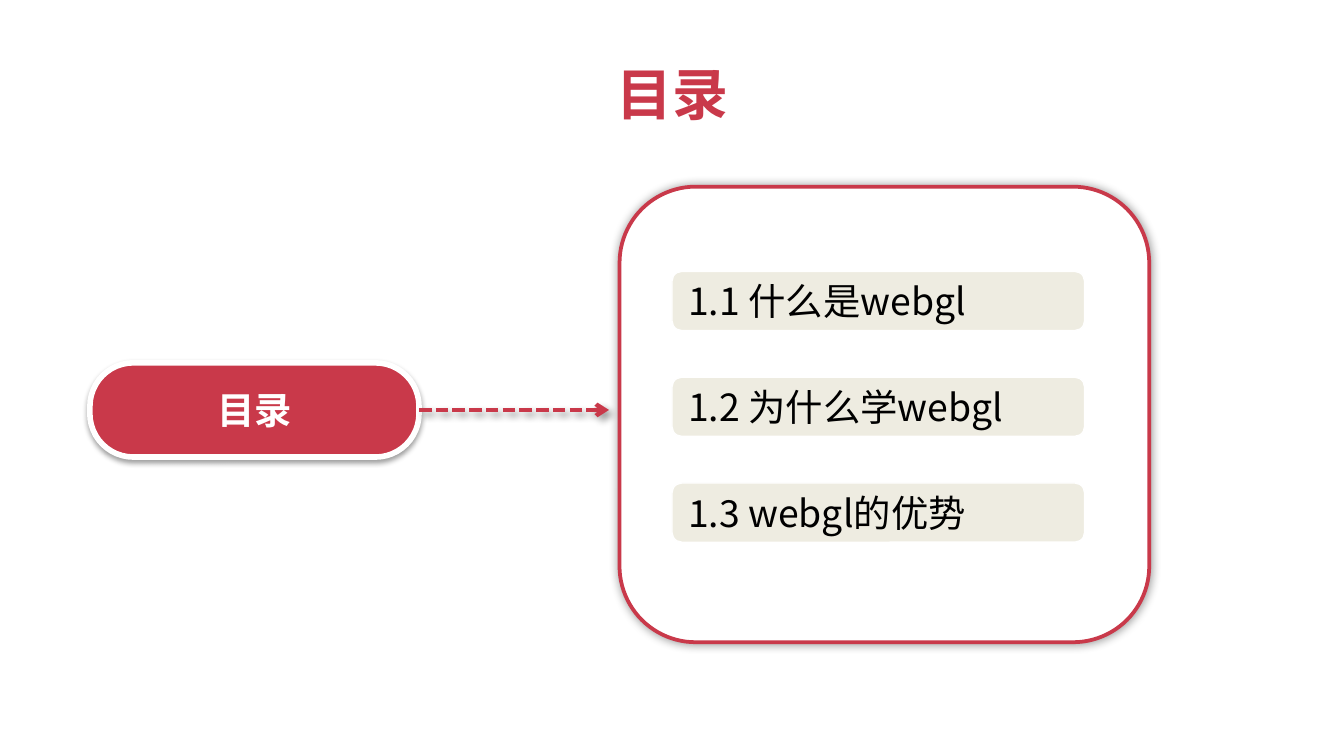
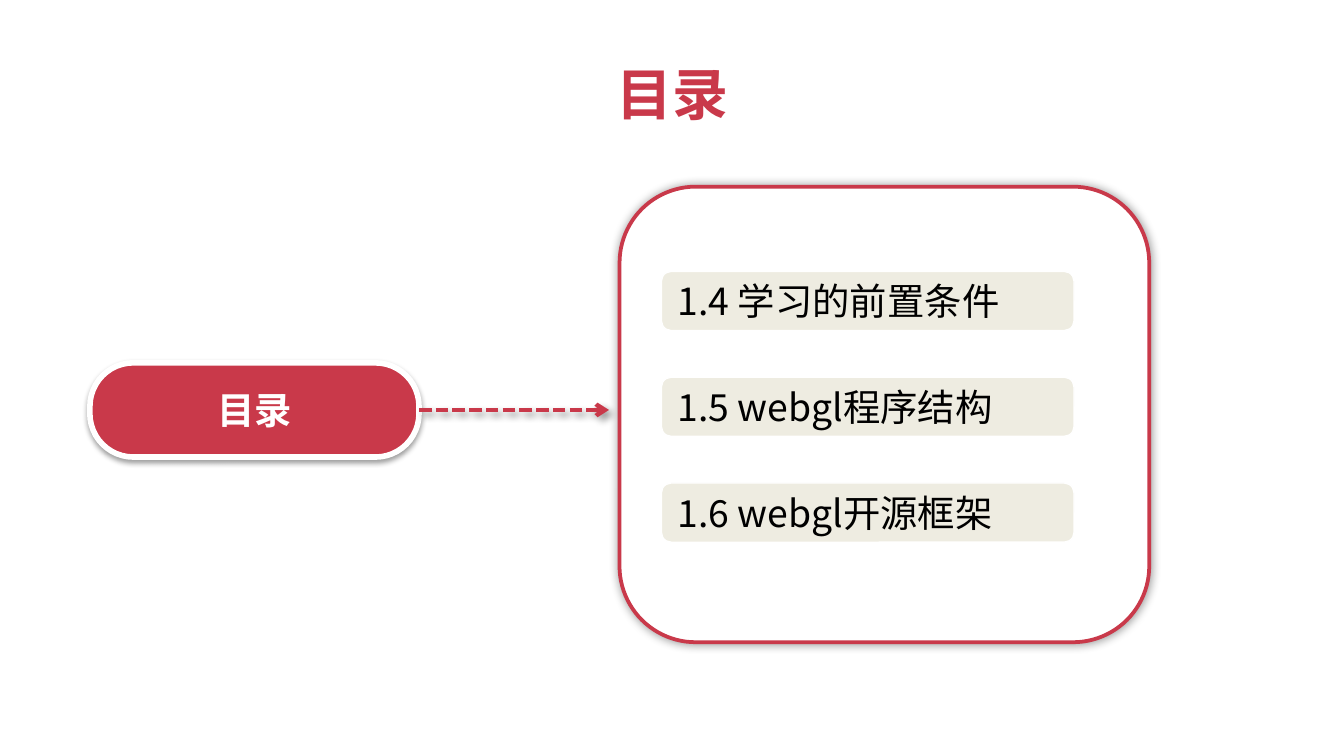
import pptx
import pptx.dml.color
import pptx.enum.dml
import pptx.enum.shapes
import pptx.enum.text
import pptx.oxml.ns
import pptx.util
from lxml import etree

Cm = pptx.util.Cm
Pt = pptx.util.Pt
qn = pptx.oxml.ns.qn
RGB = pptx.dml.color.RGBColor.from_string
ALIGN = pptx.enum.text.PP_ALIGN
ROUNDED = pptx.enum.shapes.MSO_SHAPE.ROUNDED_RECTANGLE

FONT = "Noto Sans CJK SC"
COLORS = {"red": "C9394A", "white": "FFFFFF", "beige": "EEECE1", "black": "000000"}
HEADING = "目录"
# Left edge of the entries, and the entries of each slide
AGENDAS = [
    (12.7, ["1.1 什么是webgl", "1.2 为什么学webgl", "1.3 webgl的优势"]),
    (12.5, ["1.4 学习的前置条件", "1.5 webgl程序结构", "1.6 webgl开源框架"]),
]
ENTRY_TOP, ENTRY_STEP = 5.13, 2.0


def write_text(shape, text, size=20, color="black", bold=False, align=ALIGN.LEFT):
    frame = shape.text_frame
    frame.word_wrap = True
    frame.auto_size = pptx.enum.text.MSO_AUTO_SIZE.NONE
    frame.vertical_anchor = pptx.enum.text.MSO_ANCHOR.MIDDLE
    paragraph = frame.paragraphs[0]
    paragraph.alignment = align
    run = paragraph.add_run()
    run.text = text
    run.font.size = Pt(size)
    run.font.bold = bold
    run.font.color.rgb = RGB(COLORS[color])
    run.font.name = FONT
    etree.SubElement(run.font._element, qn("a:ea"), typeface=FONT)


def add_shadow(shape, opacity, blur, distance, angle):
    """Append a black outer shadow; the line must be formatted before."""
    effects = etree.SubElement(shape._element.spPr, qn("a:effectLst"))
    shadow = etree.SubElement(
        effects, qn("a:outerShdw"), blurRad=str(Pt(blur)), dist=str(Pt(distance)),
        dir=str(angle * 60000), algn="ctr", rotWithShape="0")
    color = etree.SubElement(shadow, qn("a:srgbClr"), val=COLORS["black"])
    etree.SubElement(color, qn("a:alpha"), val=str(opacity * 1000))


presentation = pptx.Presentation()
presentation.slide_width = Cm(25.4)
presentation.slide_height = Cm(14.29)
title_only = presentation.slide_layouts[5]

for entry_left, entries in AGENDAS:
    slide = presentation.slides.add_slide(title_only)
    title = slide.shapes.title
    title.left, title.top, title.width, title.height = Cm(10.34), Cm(0.99), Cm(4.75), Cm(1.55)
    write_text(title, HEADING, size=30, color="red", bold=True, align=ALIGN.CENTER)

    # Place, corner, fill, line colour, line width
    boxes = [
        ((11.71, 3.53, 10.01, 8.61), 0.167, "white", "red", 2),
        ((1.7, 6.86, 6.22, 1.78), 0.461, "red", "white", 3),
    ]
    for index in range(len(entries)):
        place = (entry_left, ENTRY_TOP + index * ENTRY_STEP, 7.8, 1.12)
        boxes.append((place, 0.167, "beige", "white", 0.75))

    shapes = []
    for place, corner, fill, line, width in boxes:
        shape = slide.shapes.add_shape(ROUNDED, *[Cm(length) for length in place])
        shape.adjustments[0] = corner
        shape.fill.solid()
        shape.fill.fore_color.rgb = RGB(COLORS[fill])
        shape.line.color.rgb = RGB(COLORS[line])
        shape.line.width = Pt(width)
        shapes.append(shape)

    panel, pill, *entry_boxes = shapes
    add_shadow(panel, opacity=40, blur=5, distance=0, angle=0)
    add_shadow(pill, opacity=38, blur=3.1, distance=1.6, angle=90)
    write_text(pill, HEADING, color="white", bold=True, align=ALIGN.CENTER)
    for entry_box, entry in zip(entry_boxes, entries):
        entry_box.shadow.inherit = False
        write_text(entry_box, entry)

    arrow = slide.shapes.add_connector(
        pptx.enum.shapes.MSO_CONNECTOR.CURVE, Cm(7.92), Cm(7.75), Cm(11.51), Cm(7.75))
    arrow.begin_connect(pill, 3)
    arrow.line.color.rgb = RGB(COLORS["red"])
    arrow.line.width = Pt(2.25)
    arrow.line.dash_style = pptx.enum.dml.MSO_LINE.SQUARE_DOT
    etree.SubElement(arrow.line._get_or_add_ln(), qn("a:tailEnd"), type="arrow")
    add_shadow(arrow, opacity=40, blur=4, distance=3, angle=45)

presentation.save("out.pptx")
